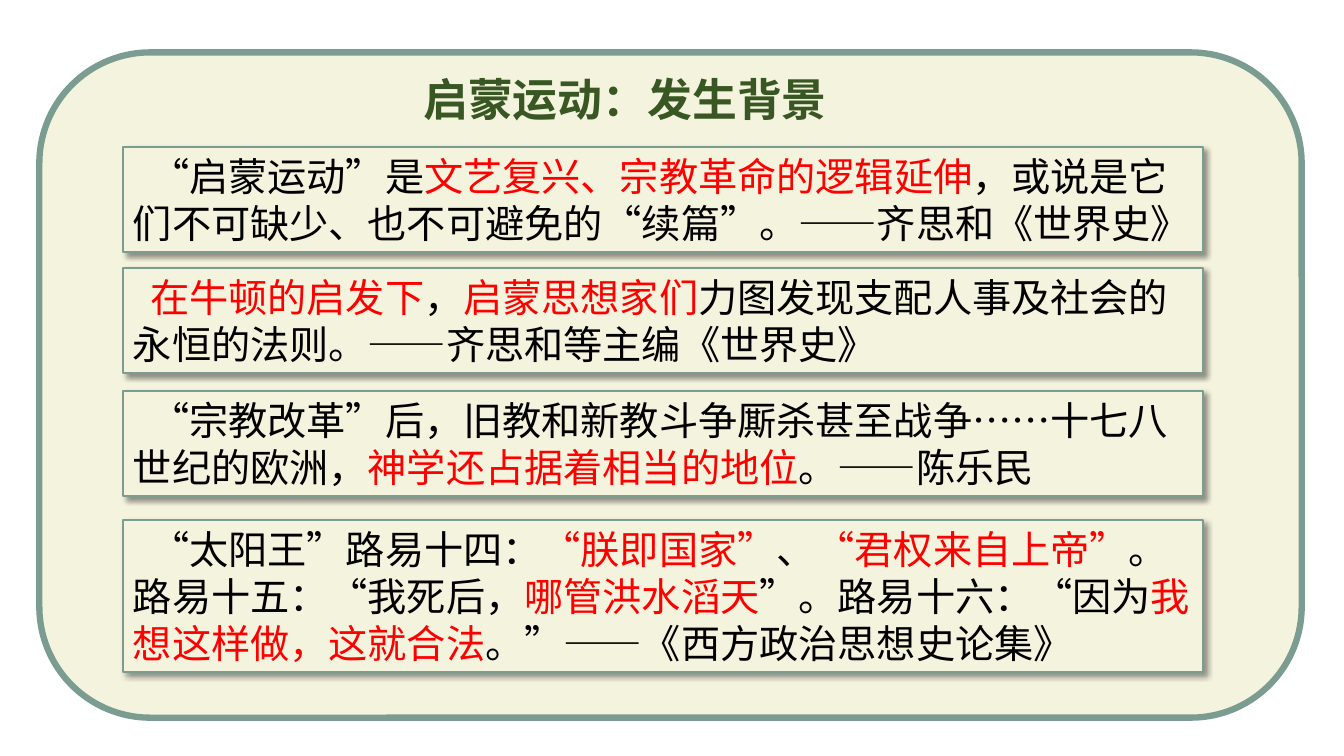
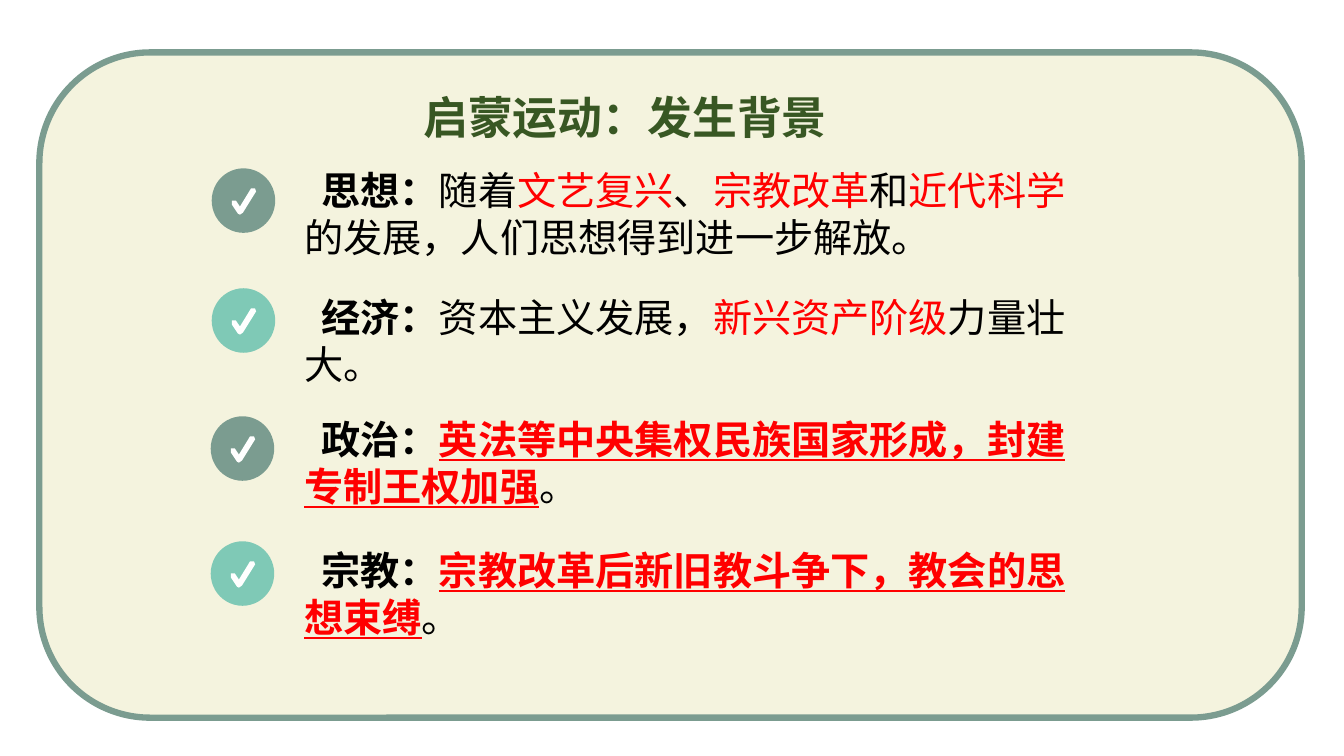
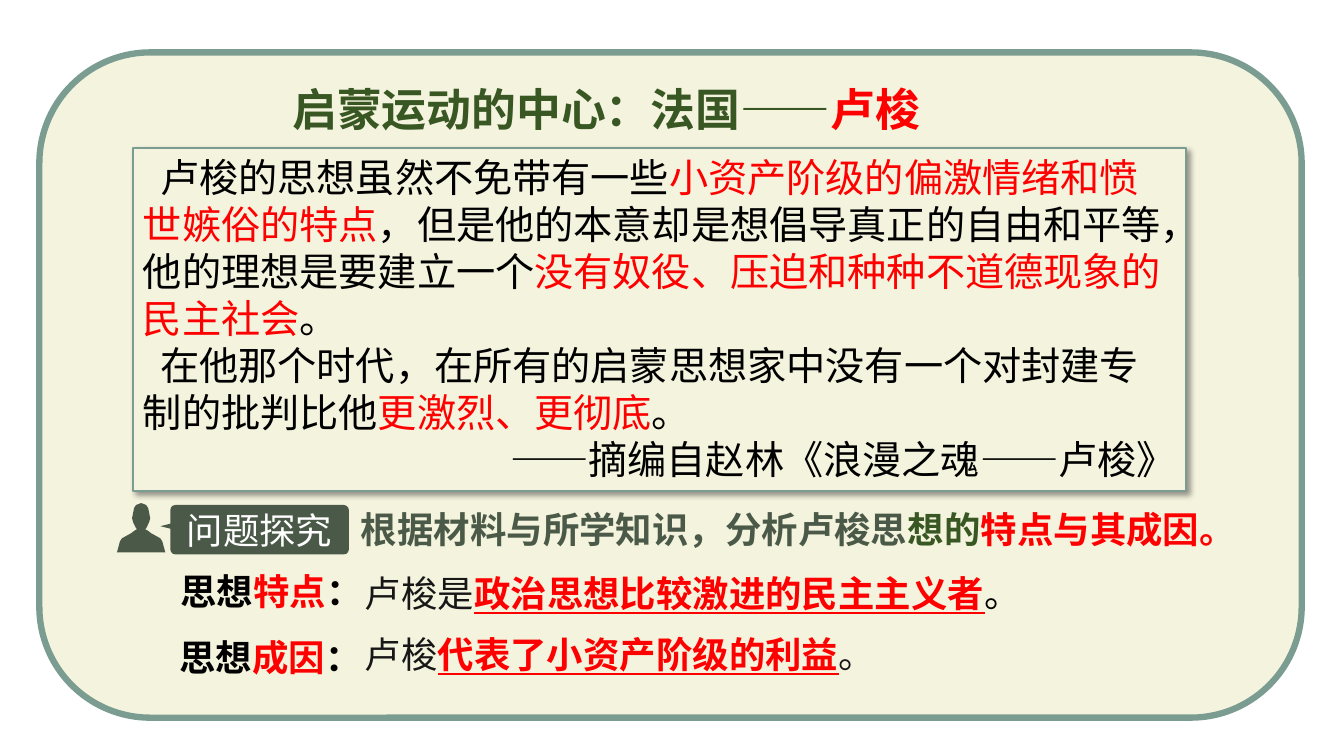
"""Build three slides on the background of the Enlightenment and on Rousseau."""
from lxml import etree
from pptx import Presentation
from pptx.dml.color import RGBColor
from pptx.enum.lang import MSO_LANGUAGE_ID
from pptx.enum.shapes import MSO_SHAPE
from pptx.enum.text import MSO_ANCHOR, MSO_AUTO_SIZE, PP_ALIGN
from pptx.oxml import parse_xml
from pptx.oxml.ns import nsdecls, qn
from pptx.util import Inches, Pt

RECT, ROUND = MSO_SHAPE.RECTANGLE, MSO_SHAPE.ROUNDED_RECTANGLE
OVAL, TRIANGLE = MSO_SHAPE.OVAL, MSO_SHAPE.ISOSCELES_TRIANGLE
LEFT, CENTER, RIGHT = PP_ALIGN.LEFT, PP_ALIGN.CENTER, PP_ALIGN.RIGHT
TOP, MIDDLE = MSO_ANCHOR.TOP, MSO_ANCHOR.MIDDLE
GROW = MSO_AUTO_SIZE.SHAPE_TO_FIT_TEXT
CHINESE = MSO_LANGUAGE_ID.SIMPLIFIED_CHINESE

FONT = "Noto Sans CJK SC"
CREAM, SAGE, MINT, MOSS = "F4F3DE", "7B9C90", "7FC9B6", "4B5A48"
GREEN, RED, BLACK, INK, WHITE = "385723", "FF0000", "000000", "181717", "FFFFFF"
SHADOW = (f'<a:outerShdw {nsdecls("a")} blurRad="{Pt(4)}" dist="{Pt(3)}" dir="2700000" '
          'algn="tl" rotWithShape="0"><a:srgbClr val="000000"><a:alpha val="40000"/>'
          '</a:srgbClr></a:outerShdw>')


def paint(sp, fill, line=None, width=0):
    """Give a shape a flat fill and an optional outline."""
    sp.shadow.inherit = False
    sp.fill.solid()
    sp.fill.fore_color.rgb = RGBColor.from_string(fill)
    if line:
        sp.line.color.rgb = RGBColor.from_string(line)
        sp.line.width = Pt(width)
    else:
        sp.line.fill.background()


def write(sp, paragraphs, size, indent=0, inset=(0.1, 0.05)):
    """Fill a shape with paragraphs of (text, colour, flags) runs."""
    tf = sp.text_frame
    tf.word_wrap = True
    tf.auto_size = GROW
    tf.vertical_anchor = TOP
    tf.margin_left = tf.margin_right = Inches(inset[0])
    tf.margin_top = tf.margin_bottom = Inches(inset[1])
    for i, runs in enumerate(paragraphs):
        p = tf.add_paragraph() if i else tf.paragraphs[0]
        p.alignment = LEFT
        pPr = p._p.get_or_add_pPr()
        pPr.set("marL", "0")
        pPr.set("indent", str(Inches(indent)))
        p.font.size = Pt(size)
        p.font.name = FONT
        p.font.language_id = CHINESE
        etree.SubElement(pPr.find(qn("a:defRPr")), qn("a:ea"), typeface=FONT)
        for text, colour, *flags in runs:
            r = p.add_run()
            r.text = text
            r.font.color.rgb = RGBColor.from_string(colour)
            r.font.bold = "bold" in flags
            r.font.underline = "underline" in flags


prs = Presentation()
prs.slide_width, prs.slide_height = Inches(13.33), Inches(7.5)

background_title = [("启蒙运动：发生背景", GREEN, "bold")]
rousseau_title = [("启蒙运动的中心：法国——", GREEN, "bold"), ("卢梭", RED, "bold")]
slides = []
for x, y, w, title in [
    (4.1, 0.66, 4.29, background_title),
    (4.1, 0.84, 4.29, background_title),
    (2.8, 0.76, 7.83, rousseau_title),
]:
    s = prs.slides.add_slide(prs.slide_layouts[6])
    panel = s.shapes.add_shape(ROUND, Inches(0.39), Inches(0.52), Inches(12.52), Inches(6.6))
    paint(panel, CREAM, SAGE, 4.5)
    sp = s.shapes.add_textbox(Inches(x), Inches(y), Inches(w), Inches(0.64))
    write(sp, [title], 32)
    slides.append(s)
sources, causes, rousseau = slides

quotes = [
    (sources, 1.22, 1.46, 10.71, 1.04, [[
        ("“启蒙运动”是", BLACK), ("文艺复兴、宗教革命的逻辑延伸", RED),
        ("，或说是它们不可缺少、也不可避免的“续篇”。——齐思和《世界史》", BLACK)]]),
    (sources, 1.22, 2.66, 10.71, 1.04, [[
        ("在牛顿的启发下", RED), ("，", BLACK), ("启蒙思想家们", RED),
        ("力图发现支配人事及社会的永恒的法则。——齐思和等主编《世界史》", BLACK)]]),
    (sources, 1.22, 3.88, 10.71, 1.04, [[
        ("“宗教改革”后，旧教和新教斗争厮杀甚至战争……十七八世纪的欧洲，", BLACK),
        ("神学还占据着相当的地位", RED), ("。——陈乐民", BLACK)]]),
    (sources, 1.22, 5.16, 10.71, 1.51, [[
        ("“太阳王”路易十四：", BLACK), ("“朕即国家”", RED), ("、", BLACK),
        ("“君权来自上帝”", RED), ("。路易十五：“我死后，", BLACK),
        ("哪管洪水滔天", RED), ("”。路易十六：“因为", BLACK),
        ("我想这样做，这就合法", RED), ("。”——《西方政治思想史论集》", BLACK)]]),
    (rousseau, 1.32, 1.47, 10.44, 3.4, [
        [("卢梭的思想虽然不免带有一些", BLACK),
         ("小资产阶级的偏激情绪和愤世嫉俗的特点", RED),
         ("，但是他的本意却是想倡导真正的自由和平等，他的理想是要建立一个", BLACK),
         ("没有奴役、压迫和种种不道德现象的民主社会", RED), ("。", BLACK)],
        [("在他那个时代，在所有的启蒙思想家中没有一个对封建专制的批判比他", BLACK),
         ("更激烈、更彻底", RED), ("。", BLACK)],
        [("——摘编自赵林《浪漫之魂——卢梭》", BLACK)]]),
]
for s, x, y, w, h, paragraphs in quotes:
    card = s.shapes.add_shape(RECT, Inches(x), Inches(y), Inches(w), Inches(h))
    paint(card, CREAM, SAGE, 1.5)
    card._element.spPr.find(qn("a:effectLst")).append(parse_xml(SHADOW))
    write(card, paragraphs, 28, indent=0.17)
card.text_frame.paragraphs[-1].alignment = RIGHT

TICK = [(0.28, 0.46), (0.26, 0.45), (0.2, 0.36), (0.2, 0.32), (0.24, 0.32),
        (0.28, 0.38), (0.39, 0.2), (0.43, 0.2), (0.44, 0.23), (0.31, 0.44)]
factors = [
    (2.1, 1.67, 1.6, SAGE, [
        ("思想：", BLACK, "bold"), ("随着", BLACK), ("文艺复兴", RED), ("、", BLACK),
        ("宗教改革", RED), ("和", BLACK), ("近代科学", RED),
        ("的发展，人们思想得到进一步解放。", BLACK)]),
    (2.1, 2.86, 2.86, MINT, [
        ("经济：", BLACK, "bold"), ("资本主义发展，", BLACK),
        ("新兴资产阶级", RED), ("力量壮大。", BLACK)]),
    (2.09, 4.13, 4.07, SAGE, [
        ("政治：", BLACK, "bold"),
        ("英法等中央集权民族国家形成，封建专制王权加强", RED, "bold", "underline"),
        ("。", BLACK)]),
    (2.09, 5.37, 5.37, MINT, [
        ("宗教：", BLACK, "bold"),
        ("宗教改革后新旧教斗争下，教会的思想束缚", RED, "bold", "underline"),
        ("。", BLACK)]),
]
for x, y, text_y, colour, runs in factors:
    disc = causes.shapes.add_shape(OVAL, Inches(x), Inches(y), Inches(0.63), Inches(0.64))
    paint(disc, colour)
    points = [(Inches(x + dx), Inches(y + dy)) for dx, dy in TICK]
    outline = causes.shapes.build_freeform(*points[0])
    outline.add_line_segments(points[1:])
    paint(outline.convert_to_shape(), WHITE)
    sp = causes.shapes.add_textbox(Inches(2.92), Inches(text_y), Inches(8.02), Inches(1.04))
    write(sp, [runs], 28, indent=0.17)

half = [(0, 4.99), (0.05, 5.01), (0.07, 5.04), (0.09, 5.14), (0.08, 5.18),
        (0.05, 5.24), (0.04, 5.25), (0.06, 5.26), (0.1, 5.29), (0.19, 5.34),
        (0.21, 5.37), (0.24, 5.48)]
person = half + [(-dx, y) for dx, y in reversed(half[1:])]
points = [(Inches(1.4 + dx), Inches(y)) for dx, y in person]
outline = rousseau.shapes.build_freeform(*points[0])
outline.add_line_segments(points[1:])
paint(outline.convert_to_shape(), MOSS)

badge = rousseau.shapes.add_shape(ROUND, Inches(1.69), Inches(5.01), Inches(1.77), Inches(0.49))
badge.adjustments[0] = 0.1
paint(badge, MOSS)
write(badge, [[("问题探究", WHITE)]], 26, inset=(0, 0))
badge.text_frame.auto_size = MSO_AUTO_SIZE.NONE
badge.text_frame.vertical_anchor = MIDDLE
badge.text_frame.paragraphs[0].alignment = CENTER

pointer = rousseau.shapes.add_shape(
    TRIANGLE, Inches(1.62), Inches(5.16), Inches(0.06), Inches(0.12))
pointer.rotation = 270
paint(pointer, MOSS)

sp = rousseau.shapes.add_textbox(Inches(3.52), Inches(5), Inches(8.72), Inches(0.49))
write(sp, [[("根据材料与所学知识，分析卢梭思", MOSS, "bold"), ("想的", GREEN, "bold"),
            ("特点与其成因。", RED, "bold")]], 26, inset=(0.06, 0.03))

answers = [
    (1.69, 5.6, 2.23, [("思想", BLACK, "bold"), ("特点", RED, "bold"), ("：", BLACK, "bold")]),
    (3.52, 5.62, 7.87, [("卢梭是", INK),
                        ("政治思想比较激进的民主主义者", RED, "bold", "underline"),
                        ("。", BLACK)]),
    (1.68, 6.25, 2.23, [("思想", BLACK, "bold"), ("成因", RED, "bold"), ("：", BLACK, "bold")]),
    (3.52, 6.22, 7.87, [("卢梭", INK),
                        ("代表了小资产阶级的利益", RED, "bold", "underline"),
                        ("。", INK)]),
]
for x, y, w, runs in answers:
    sp = rousseau.shapes.add_textbox(Inches(x), Inches(y), Inches(w), Inches(0.54))
    write(sp, [runs], 26)

prs.save("out.pptx")
